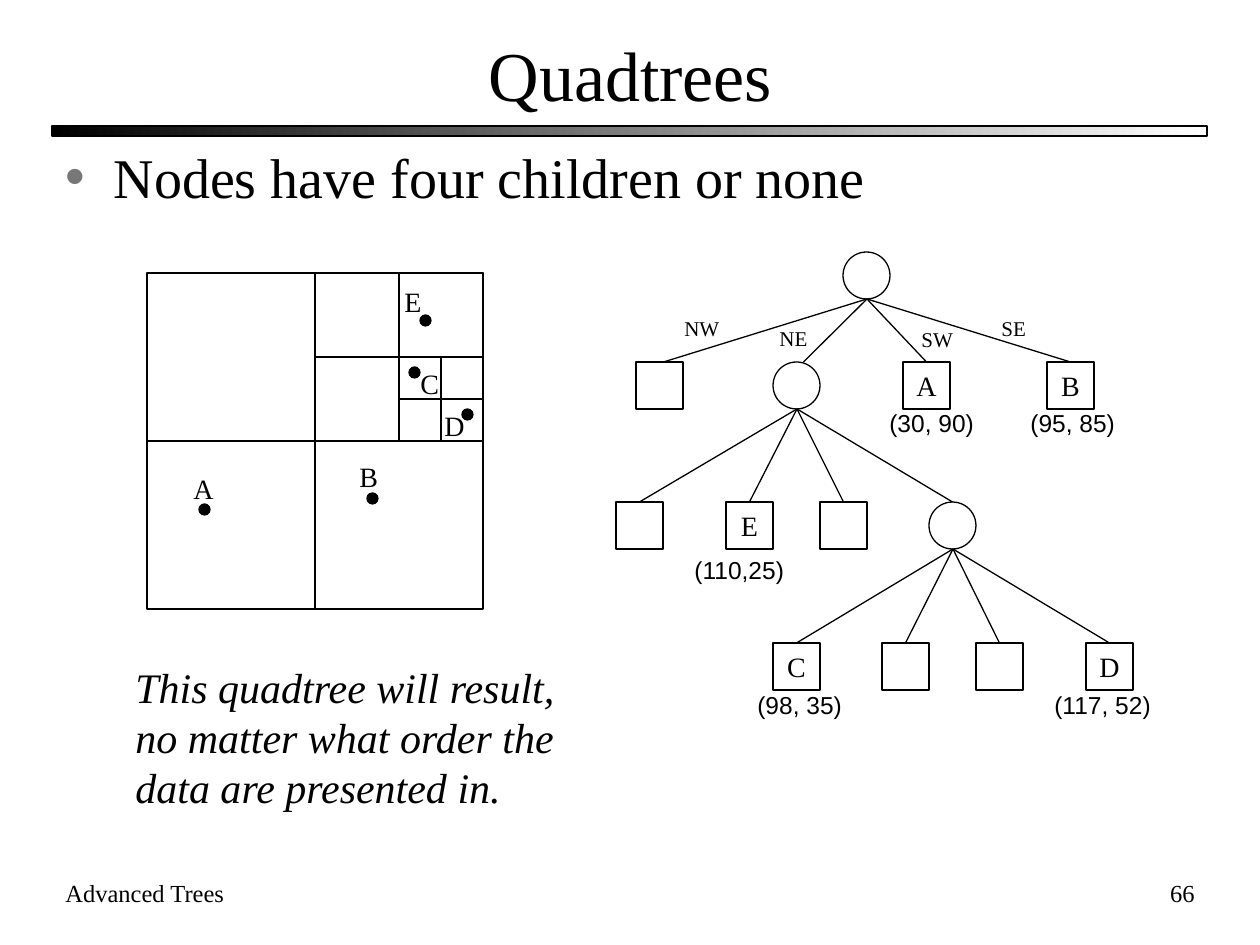
"""Build a slide that explains quadtrees."""
from pptx import Presentation
from pptx import util as u
from pptx.dml import color
from pptx.enum import shapes, text
from pptx.oxml import ns, parse_xml

SCALE = 914400 / 126
SERIF, SANS = "Times New Roman", "Arial"
BLACK, GREY, WHITE = "000000", "777777", "FFFFFF"
LEFT, MID, RIGHT = text.PP_ALIGN.LEFT, text.PP_ALIGN.CENTER, text.PP_ALIGN.RIGHT
RECT, OVAL = shapes.MSO_SHAPE.RECTANGLE, shapes.MSO_SHAPE.OVAL
NODE, DOT = 47, 11


def px(size):
    """Turn pixels into EMU."""
    return u.Emu(round(size * SCALE))


def ink(code):
    """Turn a hex string into a colour."""
    return color.RGBColor.from_string(code)


def xml(tag, rest=""):
    """Make one DrawingML element."""
    return parse_xml(f"<a:{tag} {ns.nsdecls('a')}{rest}")


def write(frame, words, size=16, font=SERIF, align=LEFT, wrap=False,
          grow=False, anchor=text.MSO_ANCHOR.TOP, slant=False, bullet=None):
    """Put one formatted paragraph in a text frame."""
    frame.word_wrap = wrap
    frame.auto_size = (text.MSO_AUTO_SIZE.SHAPE_TO_FIT_TEXT if grow
                       else text.MSO_AUTO_SIZE.NONE)
    frame.vertical_anchor = anchor
    para = frame.paragraphs[0]
    para.text = words
    para.alignment = align
    para.space_before = u.Pt(0)
    if bullet:
        props = para._p.get_or_add_pPr()
        props.set("marL", str(px(48)))
        props.set("indent", str(-px(48)))
        props.append(xml("buClr", f'><a:srgbClr val="{bullet}"/></a:buClr>'))
        props.append(xml("buChar", ' char="•"/>'))
    face = para.runs[0].font
    face.name, face.size, face.italic = font, u.Pt(size), slant
    face.color.rgb = ink(BLACK)


class Page:
    """Hold the style and the current slide."""

    def __init__(self, deck):
        """Add a slide with a title and a body."""
        self.slide = deck.slides.add_slide(deck.slide_layouts[1])
        self.items = self.slide.shapes
        self.line = u.Pt(0.75)

    def holder(self, index, box, words, **form):
        """Move and fill a placeholder."""
        item = self.slide.placeholders[index]
        item.left, item.top, item.width, item.height = map(px, box)
        write(item.text_frame, words, wrap=True, **form)

    def shape(self, kind, box, fill=None, words=None):
        """Add an outlined shape."""
        item = self.items.add_shape(kind, *map(px, box))
        item.shadow.inherit = False
        item.line.color.rgb, item.line.width = ink(BLACK), self.line
        if fill:
            item.fill.solid()
            item.fill.fore_color.rgb = ink(fill)
        else:
            item.fill.background()
        if words:
            write(item.text_frame, words, align=MID,
                  anchor=text.MSO_ANCHOR.MIDDLE)
        return item

    def bar(self, box, *shades):
        """Add a bar that fades from left to right."""
        fill = self.shape(RECT, box).fill
        fill.gradient()
        fill.gradient_angle = 0
        for stop, shade, place in zip(fill.gradient_stops, shades, (0, 1)):
            stop.color.rgb, stop.position = ink(shade), place

    def label(self, box, words, **form):
        """Add a text box."""
        item = self.items.add_textbox(*map(px, box))
        write(item.text_frame, words, **form)

    def edge(self, start, end, child=None):
        """Add a line, joined to the top of a child if one is given."""
        item = self.items.add_connector(shapes.MSO_CONNECTOR.STRAIGHT,
                                        *map(px, start + end))
        item.line.color.rgb, item.line.width = ink(BLACK), self.line
        item._element.spPr.append(xml("effectLst", "/>"))
        if child:
            item.end_connect(child, 0)

    def quad(self, left, top, size, route):
        """Split a square in four, and again along the route."""
        half = size // 2
        for row in (0, 1):
            for col in (0, 1):
                x, y = left + col * half, top + row * half
                self.shape(RECT, (x, y, half, half))
                if route and route[0] == (col, row):
                    self.quad(x, y, half, route[1:])

    def branch(self, hub, top, kids):
        """Add a row of child nodes and their edges from the hub."""
        for left, kind, words, shift in kids:
            child = self.shape(kind, (left, top, NODE, NODE), words=words)
            end = (left + NODE / 2 + shift, top)
            self.edge(hub, end, None if shift else child)


def main():
    """Build and save the slide."""
    deck = Presentation()
    deck.slide_width, deck.slide_height = px(1260), px(945)
    page = Page(deck)
    page.bar((52, 126, 1155, 10), BLACK, WHITE)
    page.holder(0, (53, 21, 1155, 105), "Quadtrees", size=40, align=MID,
                anchor=text.MSO_ANCHOR.MIDDLE)
    page.holder(1, (53, 136, 1155, 95), "Nodes have four children or none",
                size=32, bullet=GREY)
    page.label((53, 872, 441, 63), "Advanced Trees", size=14, wrap=True)
    page.label((945, 872, 262, 63), "66", size=14, align=RIGHT, wrap=True)

    page.quad(147, 273, 336, [(1, 0), (1, 1)])
    points = [("A", 199, 504, 181, 465), ("B", 367, 493, 347, 453),
              ("C", 409, 367, 408, 360), ("D", 462, 409, 432, 402),
              ("E", 420, 315, 392, 278)]
    for name, x, y, left, top in points:
        page.shape(OVAL, (x, y, DOT, DOT), fill=BLACK)
        page.label((left, top, 48, 47), name, grow=True)

    page.shape(OVAL, (843, 252, NODE, NODE))
    page.branch((867, 299), 362, [
        (636, RECT, None, 4), (773, OVAL, None, 7),
        (903, RECT, "A", 0), (1047, RECT, "B", 0)])
    page.branch((797, 409), 502, [
        (616, RECT, None, 0), (726, RECT, "E", 0),
        (820, RECT, None, 0), (929, OVAL, None, 0)])
    page.branch((953, 549), 643, [
        (773, RECT, "C", 0), (882, RECT, None, 0),
        (976, RECT, None, 0), (1086, RECT, "D", 0)])

    for name, left, top, width in [("NW", 672, 309, 62), ("NE", 767, 319, 55),
                                   ("SW", 909, 320, 59), ("SE", 989, 309, 54)]:
        page.label((left, top, width, 38), name, size=12, grow=True)
    for pair, left, top, width in [
            ("(30, 90)", 877, 402, 112), ("(95, 85)", 1018, 402, 112),
            ("(98, 35)", 745, 684, 112), ("(117, 52)", 1042, 684, 125),
            ("(110,25)", 682, 549, 118)]:
        page.label((left, top, width, 43), pair, size=14, font=SANS, grow=True)
    page.label((123, 655, 464, 164), "This quadtree will result, no matter "
               "what order the data are presented in.", size=24, wrap=True,
               grow=True, slant=True)
    deck.save("out.pptx")


if __name__ == "__main__":
    main()
